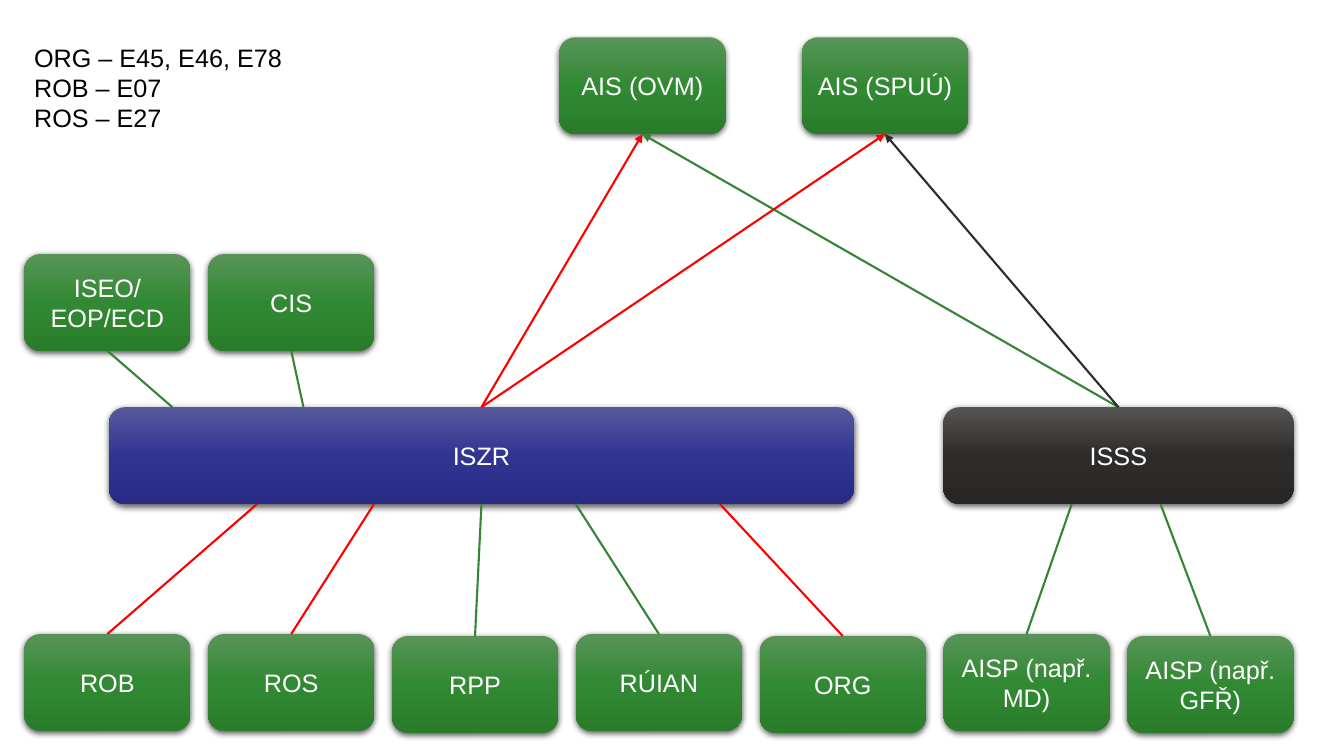
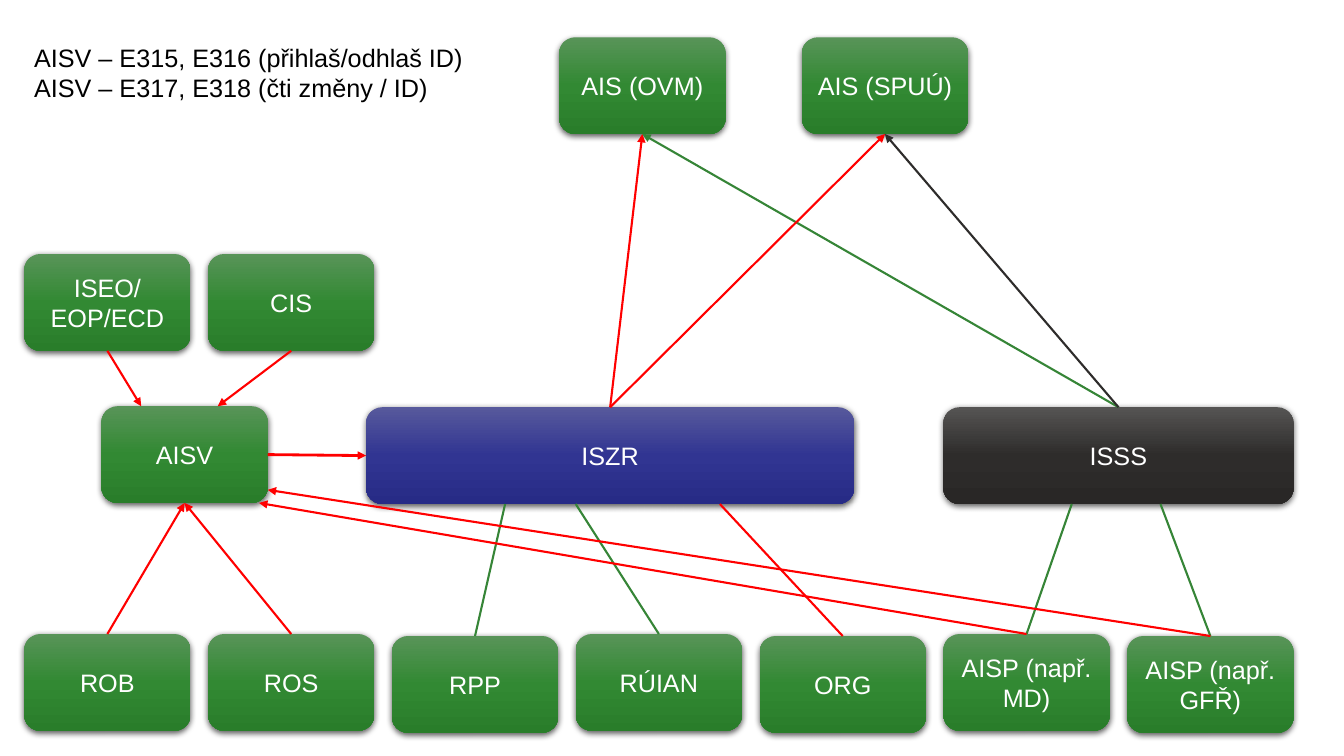
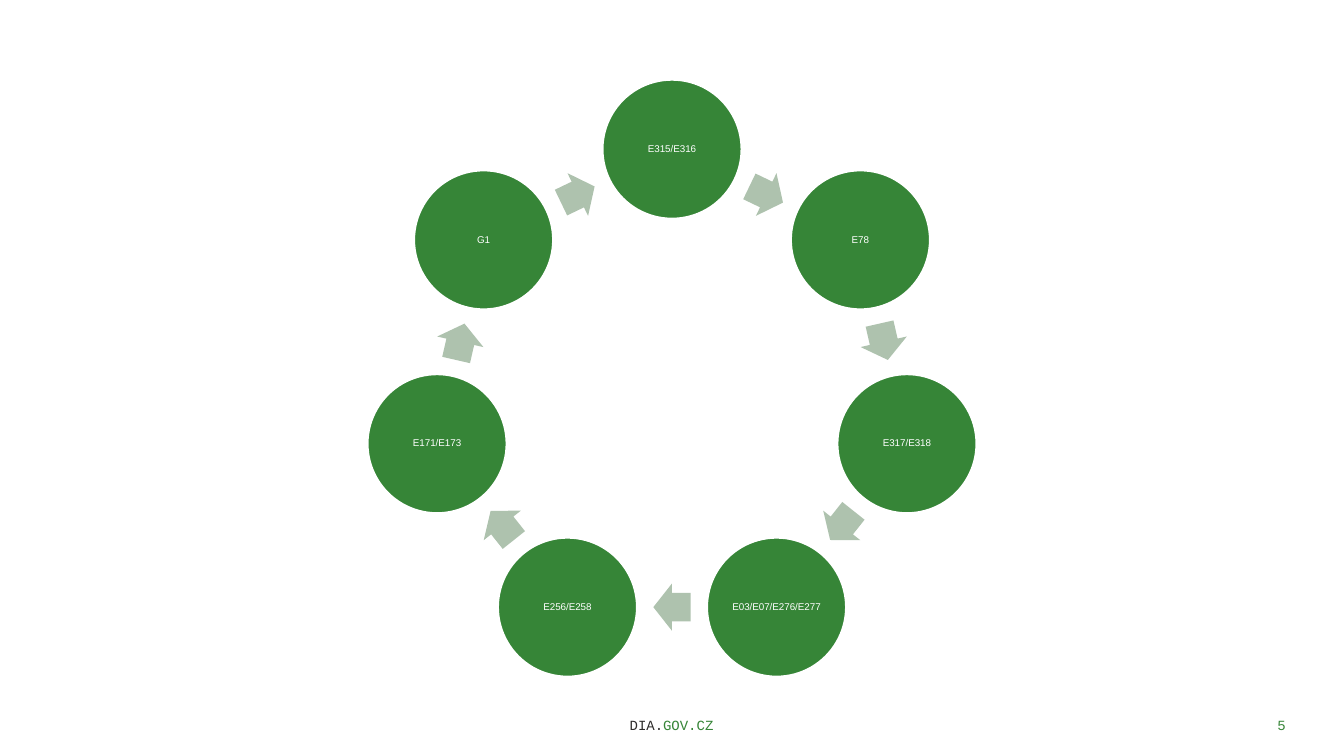
from copy import deepcopy
from math import cos, pi, sin

from lxml.etree import SubElement
from pptx import Presentation
from pptx.dml.color import RGBColor
from pptx.enum.shapes import MSO_CONNECTOR, MSO_SHAPE
from pptx.enum.text import MSO_ANCHOR, MSO_AUTO_SIZE, PP_ALIGN
from pptx.oxml.ns import qn
from pptx.util import Inches, Pt

WIDE, HIGH = 13.33, 7.5
LEFT, LAST, COLS = 0.24, 11.18, 7
STEP = (LAST - LEFT) / (COLS - 1)
BOX_W, BOX_H = 1.65, 0.96
TOP, SIDE, HUB, BASE = 0.37, 2.52, 4.04, 6.29
DROP = 0.02

SANS, MONO = "Arial", "Courier New"
GREEN, RED, DARK, PALE = "368537", "FF0000", "2E2C2B", "AEC2AE"
WHITE, BLACK = "FFFFFF", "000000"
LEAF = ("589458", "328933", "297D2A")
NAVY = ("57599C", "313592", "272B86")
COAL = ("555453", "2E2C2B", "292726")

SITES = {"top": 0, "left": 1, "bottom": 2, "right": 3}
SOURCES = ["ROB", "ROS", "RPP", "RÚIAN", "ORG", "AISP (např. MD)", "AISP (např. GFŘ)"]
STEPS = ["E315/E316", "E78", "E317/E318", "E03/E07/E276/E277", "E256/E258", "E171/E173", "G1"]


def hue(code):
    """Turn a hex string into a colour."""
    return RGBColor.from_string(code)


def style(para, size, color, face=SANS, align=PP_ALIGN.CENTER):
    """Set the font and alignment of a paragraph."""
    para.alignment = align
    para.font.name = face
    para.font.size = Pt(size)
    para.font.color.rgb = hue(color)


def label(shape, text, size):
    """Write centred white text in a shape."""
    frame = shape.text_frame
    frame.word_wrap = True
    frame.vertical_anchor = MSO_ANCHOR.MIDDLE
    frame.text = text
    style(frame.paragraphs[0], size, WHITE)
    return frame


def shade(shape, tones):
    """Fill a shape with three tones from top to bottom."""
    fill = shape.fill
    fill.gradient()
    fill.gradient_angle = 270
    stops = shape.element.spPr.find(qn("a:gradFill")).find(qn("a:gsLst"))
    stops.insert(1, deepcopy(stops[0]))
    for stop, tone, place in zip(fill.gradient_stops, tones, (0, 0.5, 1)):
        stop.color.rgb = hue(tone)
        stop.position = place


def lift(shape):
    """Give a shape a soft shadow below."""
    shape.shadow.inherit = False
    effects = shape.element.spPr.find(qn("a:effectLst"))
    cast = SubElement(effects, qn("a:outerShdw"), blurRad=str(Pt(4.5)),
                      dist=str(Pt(1.5)), dir="5400000", algn="ctr", rotWithShape="0")
    color = SubElement(cast, qn("a:srgbClr"), val=BLACK)
    SubElement(color, qn("a:alpha"), val="63000")


def node(slide, text, col, top, span=1, tones=LEAF):
    """Add a rounded box at a grid column."""
    wide = BOX_W + (span - 1) * STEP
    shape = slide.shapes.add_shape(
        MSO_SHAPE.ROUNDED_RECTANGLE, Inches(LEFT + col * STEP), Inches(top),
        Inches(wide), Inches(BOX_H))
    shade(shape, tones)
    shape.line.fill.background()
    lift(shape)
    label(shape, text, 18)
    return shape


def spot(box, side, at=None):
    """Find a point on one side of a box, its middle by default."""
    x, y = box.left + box.width // 2, box.top + box.height // 2
    if side in ("top", "bottom"):
        x = x if at is None else Inches(at)
        return x, box.top + (box.height if side == "bottom" else 0)
    y = y if at is None else Inches(at)
    return box.left + (box.width if side == "right" else 0), y


def link(slide, start, out, end, into, color, at=None, tip=False, width=1.5):
    """Join two boxes, glued wherever the line meets the middle of a side."""
    line = slide.shapes.add_connector(
        MSO_CONNECTOR.STRAIGHT, *spot(start, out), *spot(end, into, at))
    line.begin_connect(start, SITES[out])
    if at is None:
        line.end_connect(end, SITES[into])
    line.line.color.rgb = hue(color)
    line.line.width = Pt(width)
    props = line.element.spPr
    if tip:
        SubElement(props.find(qn("a:ln")), qn("a:tailEnd"), type="triangle")
    SubElement(props, qn("a:effectLst"))


def note(slide, lines):
    """Add the list of services at the top left."""
    box = slide.shapes.add_textbox(
        Inches(LEFT), Inches(TOP), Inches(4.47), Inches(0.1 + 0.3 * len(lines)))
    frame = box.text_frame
    frame.word_wrap = True
    frame.auto_size = MSO_AUTO_SIZE.SHAPE_TO_FIT_TEXT
    frame.text = "\n".join(lines)
    for para in frame.paragraphs:
        style(para, 18, BLACK, align=PP_ALIGN.LEFT)


def foot(slide, left, wide, parts, align):
    """Add a footer line made of coloured parts."""
    box = slide.shapes.add_textbox(Inches(left), Inches(6.92), Inches(wide), Inches(0.4))
    frame = box.text_frame
    frame.word_wrap = True
    frame.vertical_anchor = MSO_ANCHOR.BOTTOM
    para = frame.paragraphs[0]
    style(para, 10, GREEN, MONO, align)
    for text, color in parts:
        run = para.add_run()
        run.text = text
        run.font.color.rgb = hue(color)


def scheme(slide, lines, col, span):
    """Draw the parts that both system maps share."""
    note(slide, lines)
    base = [node(slide, name, i, BASE + (DROP if i in (2, 4, 6) else 0))
            for i, name in enumerate(SOURCES)]
    iszr = node(slide, "ISZR", col, HUB, span, NAVY)
    isss = node(slide, "ISSS", 5, HUB, 2, COAL)
    ovm = node(slide, "AIS (OVM)", 2.91, TOP)
    spuu = node(slide, "AIS (SPUÚ)", 4.23, TOP)
    iseo = node(slide, "ISEO/EOP/ECD", 0, SIDE)
    cis = node(slide, "CIS", 1, SIDE)
    for i, hub, color, at in ((3, iszr, GREEN, 5.71), (4, iszr, RED, 7.14),
                              (5, isss, GREEN, 10.63), (6, isss, GREEN, 11.51)):
        link(slide, base[i], "top", hub, "bottom", color, at)
    for hub, goal, color in ((iszr, ovm, RED), (isss, ovm, GREEN),
                             (iszr, spuu, RED), (isss, spuu, DARK)):
        link(slide, hub, "top", goal, "bottom", color, tip=True)
    return base, iszr, iseo, cis


def direct(slide):
    """Draw the map with sources tied straight to ISZR."""
    lines = ["ORG – E45, E46, E78", "ROB – E07", "ROS – E27"]
    base, iszr, iseo, cis = scheme(slide, lines, 0.46, 4.15)
    link(slide, base[0], "top", iszr, "bottom", RED, 2.55)
    link(slide, base[1], "top", iszr, "bottom", RED, 3.71)
    link(slide, base[2], "top", iszr, "bottom", GREEN)
    link(slide, iseo, "bottom", iszr, "top", GREEN, 1.71)
    link(slide, cis, "bottom", iszr, "top", GREEN, 3.01)


def routed(slide):
    """Draw the map with sources passing through AISV."""
    lines = ["AISV – E315, E316 (přihlaš/odhlaš ID)", "AISV – E317, E318 (čti změny / ID)"]
    base, iszr, iseo, cis = scheme(slide, lines, 1.86, 2.75)
    aisv = node(slide, "AISV", 0.42, HUB - 0.01)
    link(slide, base[2], "top", iszr, "bottom", GREEN, 5.01)
    link(slide, aisv, "right", iszr, "left", RED, tip=True, width=2)
    for start, out, into, at in (
            (base[0], "top", "bottom", None), (base[1], "top", "bottom", None),
            (base[5], "top", "bottom", 2.57), (base[6], "top", "right", 4.86),
            (iseo, "bottom", "top", 1.4), (cis, "bottom", "top", 2.16)):
        link(slide, start, out, aisv, into, RED, at, tip=True)


def place(slide, kind, turn, reach, wide, high, color):
    """Add a flat shape centred on the ring at an angle."""
    x = WIDE / 2 + reach * sin(turn)
    y = 3.87 - reach * cos(turn)
    shape = slide.shapes.add_shape(
        kind, Inches(x - wide / 2), Inches(y - high / 2), Inches(wide), Inches(high))
    shape.shadow.inherit = False
    shape.fill.solid()
    shape.fill.fore_color.rgb = hue(color)
    return shape


def ring(slide):
    """Draw the cycle of services."""
    reach, part = 2.39, 2 * pi / len(STEPS)
    for i, name in enumerate(STEPS):
        disc = place(slide, MSO_SHAPE.OVAL, i * part, reach, 1.38, 1.38, GREEN)
        disc.line.color.rgb = hue(WHITE)
        disc.line.width = Pt(1.5)
        frame = label(disc, name, 7)
        frame.margin_left = frame.margin_right = Inches(0.01)
        frame.margin_top = frame.margin_bottom = Inches(0.01)
        frame.paragraphs[0].line_spacing = 0.9
        turn = (i + 0.5) * part
        arrow = place(slide, MSO_SHAPE.RIGHT_ARROW, turn, reach * cos(part / 2),
                      0.37, 0.47, PALE)
        arrow.line.fill.background()
        arrow.adjustments[0] = 0.6
        arrow.adjustments[1] = 0.5
        arrow.rotation = turn * 180 / pi
    foot(slide, 3.72, 5.88, [("DIA.", DARK), ("GOV.CZ", GREEN)], PP_ALIGN.CENTER)
    foot(slide, 10.75, 2.1, [("5", GREEN)], PP_ALIGN.RIGHT)


def main():
    """Build and save the slides."""
    deck = Presentation()
    deck.slide_width, deck.slide_height = Inches(WIDE), Inches(HIGH)
    for draw in (direct, routed, ring):
        draw(deck.slides.add_slide(deck.slide_layouts[6]))
    deck.save("out.pptx")


if __name__ == "__main__":
    main()
